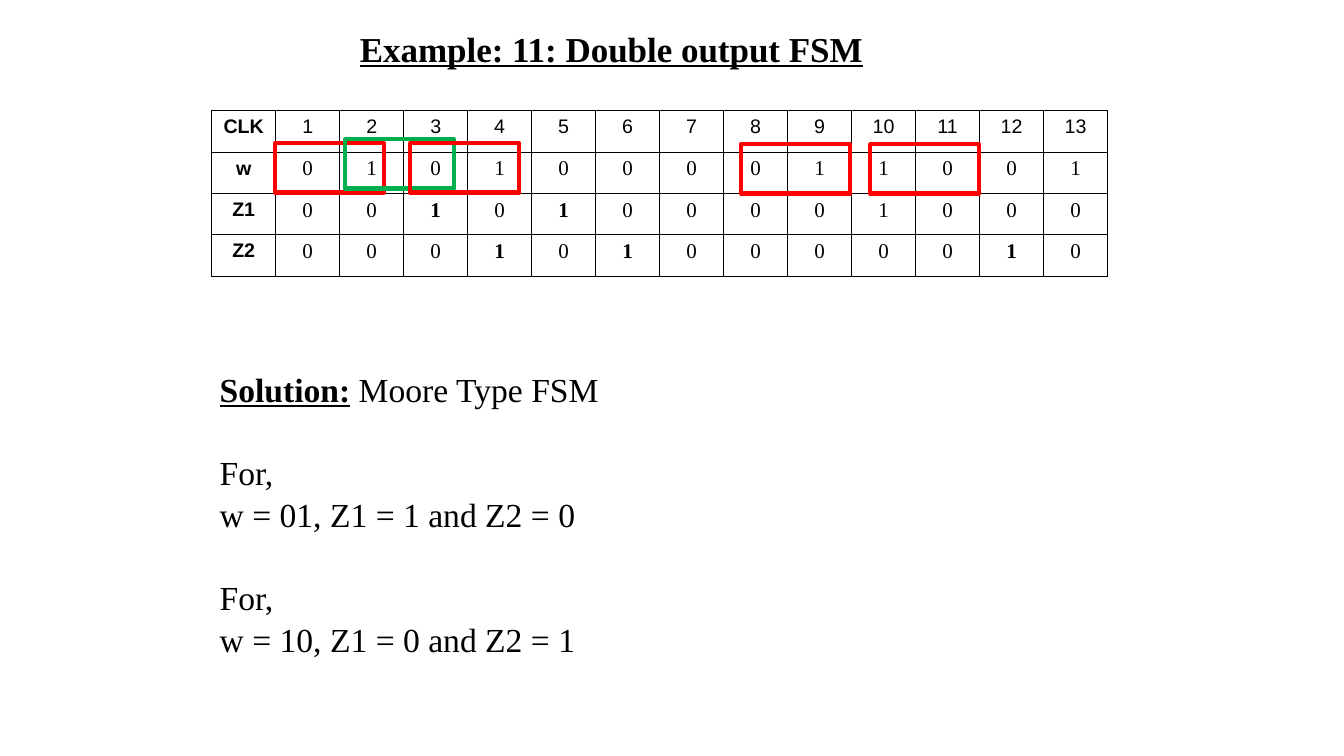
from dataclasses import dataclass

from lxml import etree
from pptx import Presentation
from pptx.dml.color import RGBColor
from pptx.enum.shapes import MSO_SHAPE
from pptx.enum.text import MSO_AUTO_SIZE, PP_ALIGN
from pptx.oxml.ns import qn
from pptx.util import Inches, Pt

RECTANGLE = MSO_SHAPE.RECTANGLE
CENTER = PP_ALIGN.CENTER
GROW = MSO_AUTO_SIZE.SHAPE_TO_FIT_TEXT
BLANK_LAYOUT = 6


@dataclass(frozen=True)
class Theme:
    ink: RGBColor = RGBColor(0, 0, 0)
    paper: RGBColor = RGBColor(255, 255, 255)
    red: RGBColor = RGBColor(255, 0, 0)
    green: RGBColor = RGBColor(0, 0xB0, 0x50)
    serif: str = "Times New Roman"
    sans: str = "Arial"
    title_size: int = 25
    body_size: int = 24
    label_size: int = 14
    digit_size: int = 15
    line_spacing: float = 1.05
    gap: int = 29


THEME = Theme()

CLOCK_ROW = ["CLK", *map(str, range(1, 14))]
SIGNALS = {
    "w": "0101000011001",
    "Z1": "0010100001000",
    "Z2": "0001010000010",
}
# Clock ticks whose output is emphasised
BOLD_TICKS = {"Z1": {3, 5}, "Z2": {4, 6, 12}}

# Left, top and colour of each detected input pair
PAIR_FRAMES = [
    (2.73, 1.42, THEME.red),
    (3.42, 1.38, THEME.green),
    (4.07, 1.42, THEME.red),
    (7.35, 1.43, THEME.red),
    (8.63, 1.43, THEME.red),
]

# Each block of the solution is set apart by a gap
SOLUTION_BLOCKS = [
    [[("Solution:", True), (" Moore Type FSM", False)]],
    [[("For,", False)], [("w = 01, Z1 = 1 and Z2 = 0", False)]],
    [[("For,", False)], [("w = 10, Z1 = 0 and Z2 = 1", False)]],
]


def set_font(font, name, size, bold=None):
    font.name = name
    font.size = Pt(size)
    font.color.rgb = THEME.ink
    font.bold = bold


def add_borders(cell):
    properties = cell._tc.get_or_add_tcPr()
    for side in ("a:lnL", "a:lnR", "a:lnT", "a:lnB"):
        line = etree.SubElement(properties, qn(side), w=str(Pt(1)))
        fill = etree.SubElement(line, qn("a:solidFill"))
        etree.SubElement(fill, qn("a:srgbClr"), val=str(THEME.ink))


def fill_cell(cell, text, bold, digit):
    add_borders(cell)
    cell.fill.solid()
    cell.fill.fore_color.rgb = THEME.paper
    para = cell.text_frame.paragraphs[0]
    para.text = text
    para.alignment = CENTER
    if digit:
        cell.margin_left = cell.margin_right = Inches(0.07)
        para.space_before = para.space_after = Pt(12)
        set_font(para.font, THEME.serif, THEME.digit_size, bold)
    else:
        set_font(para.font, THEME.sans, THEME.label_size, bold)


def add_timing_table(page):
    rows = [CLOCK_ROW] + [[name, *bits] for name, bits in SIGNALS.items()]
    width, row_height = Inches(8.89), Inches(0.41)
    table = page.shapes.add_table(
        len(rows), len(CLOCK_ROW), Inches(2.1), Inches(1.1),
        width, row_height * len(rows)).table
    table.first_row = table.horz_banding = False
    for column in table.columns:
        column.width = width // len(CLOCK_ROW)
    for row_index, row in enumerate(rows):
        table.rows[row_index].height = row_height
        for tick, text in enumerate(row):
            bold = tick == 0 or tick in BOLD_TICKS.get(row[0], ())
            fill_cell(table.cell(row_index, tick), text, bold,
                      digit=row_index > 0 and tick > 0)


def add_pair_frame(page, left, top, color):
    frame = page.shapes.add_shape(
        RECTANGLE, Inches(left), Inches(top), Inches(1.08), Inches(0.49))
    frame.shadow.inherit = False
    frame.fill.background()
    frame.line.color.rgb = color
    frame.line.width = Pt(3)


def add_text(page, left, top, width, height, size, blocks):
    box = page.shapes.add_textbox(
        Inches(left), Inches(top), Inches(width), Inches(height))
    frame = box.text_frame
    frame.word_wrap = False
    frame.auto_size = GROW
    para = frame.paragraphs[0]
    for block_index, block in enumerate(blocks):
        for line_index, spans in enumerate(block):
            if block_index or line_index:
                para = frame.add_paragraph()
            if block_index and line_index == 0:
                para.space_before = Pt(THEME.gap)
            para.line_spacing = THEME.line_spacing
            set_font(para.font, THEME.serif, size)
            for text, heading in spans:
                span = para.add_run()
                span.text = text
                if heading:
                    span.font.bold = span.font.underline = True


def main():
    deck = Presentation()
    deck.slide_width, deck.slide_height = Inches(13.33), Inches(7.5)
    page = deck.slides.add_slide(deck.slide_layouts[BLANK_LAYOUT])

    # Timing table with the detected pairs framed
    add_timing_table(page)
    for left, top, color in PAIR_FRAMES:
        add_pair_frame(page, left, top, color)

    # Solution and title
    add_text(page, 2.08, 3.59, 4.03, 2.93, THEME.body_size, SOLUTION_BLOCKS)
    add_text(page, 3.47, 0.2, 5.27, 0.52, THEME.title_size,
             [[[("Example: 11: Double output FSM", True)]]])

    deck.save("out.pptx")


if __name__ == "__main__":
    main()
